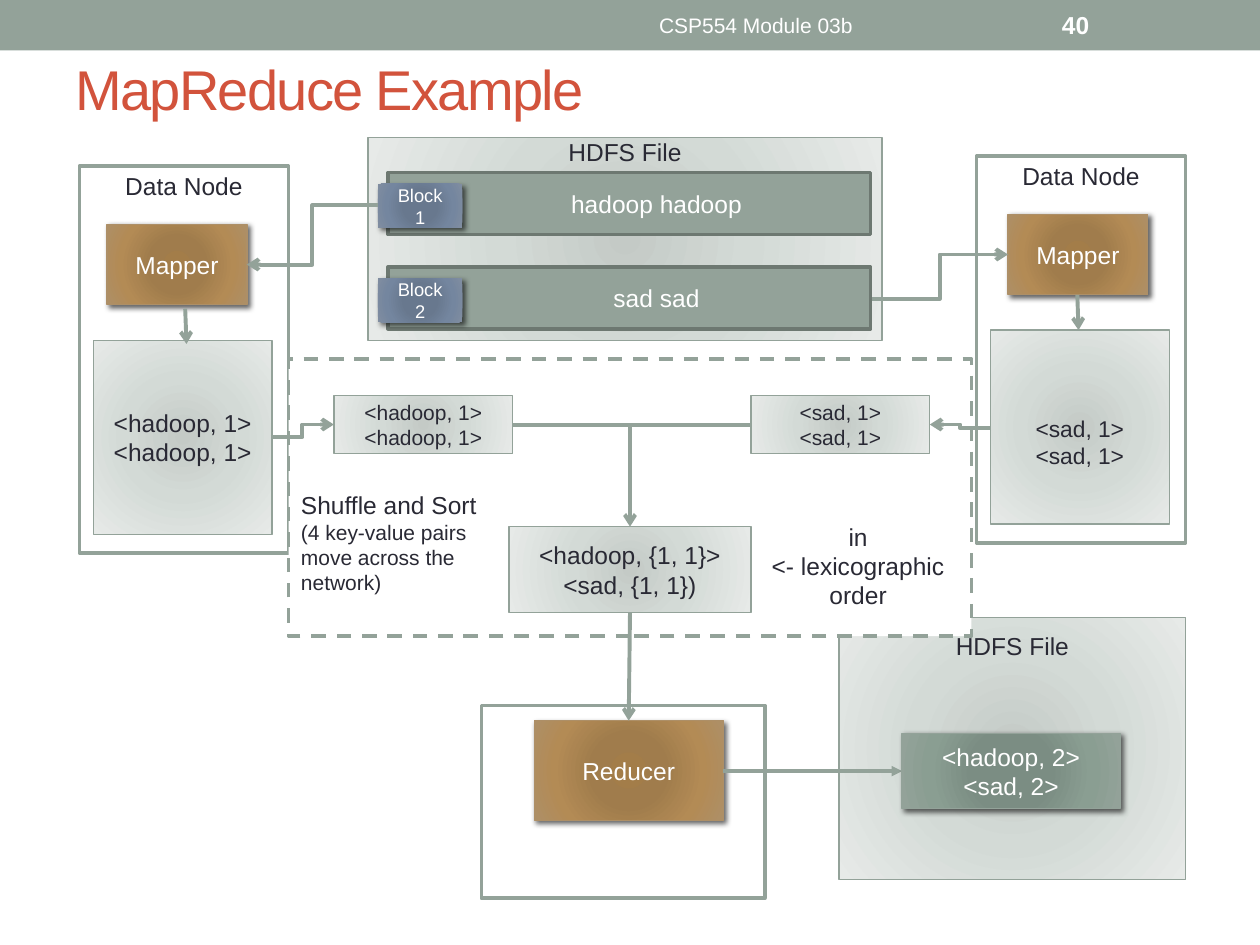
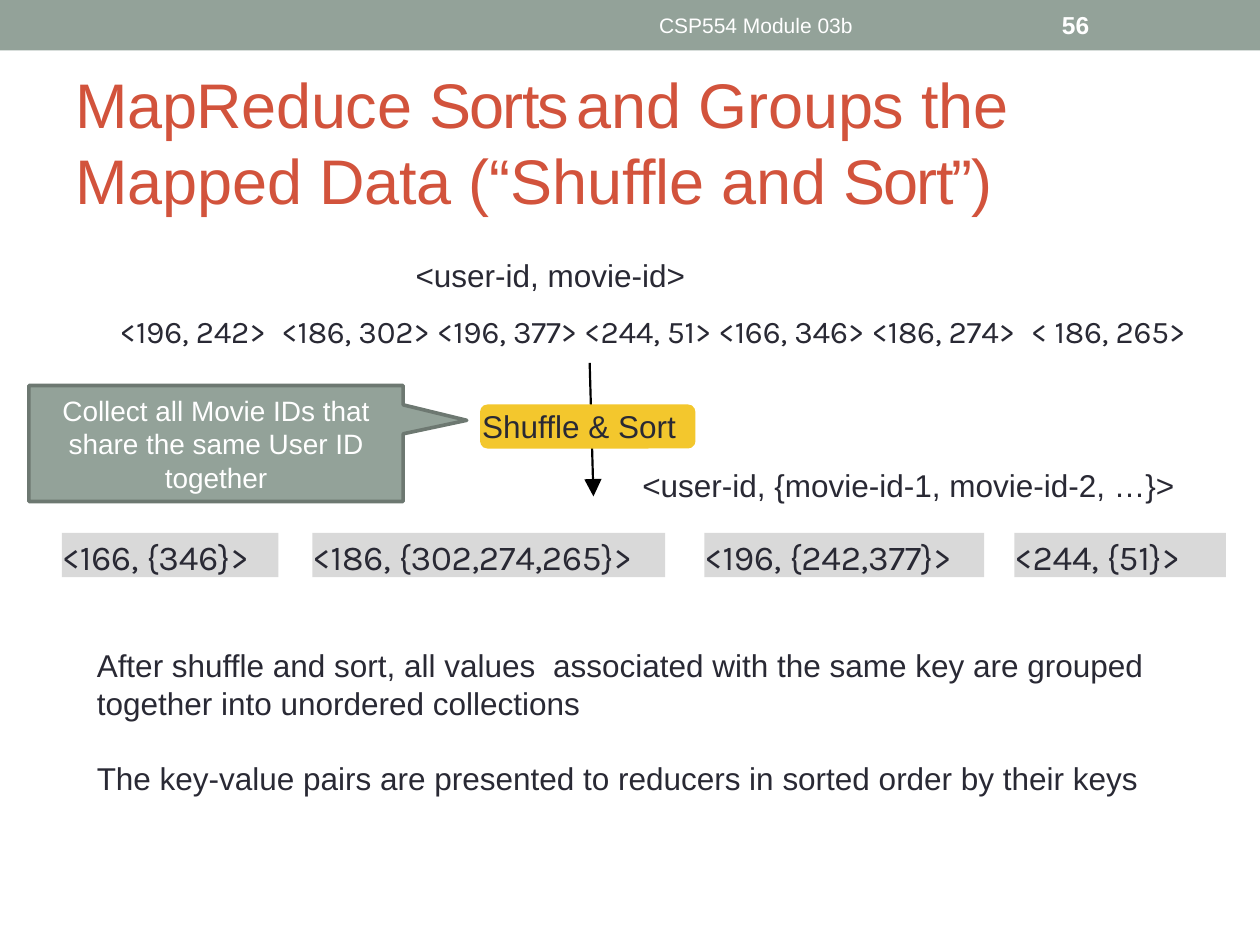
from lxml import etree
from pptx import Presentation
from pptx.dml.color import RGBColor
from pptx.enum.dml import MSO_LINE
from pptx.enum.shapes import MSO_CONNECTOR, MSO_SHAPE
from pptx.enum.text import MSO_ANCHOR, PP_ALIGN
from pptx.oxml.ns import qn
from pptx.util import Pt

PX = 9144
RECTANGLE = MSO_SHAPE.RECTANGLE
ROUNDED = MSO_SHAPE.ROUNDED_RECTANGLE
CALLOUT = MSO_SHAPE.RECTANGULAR_CALLOUT
STRAIGHT, ELBOW = MSO_CONNECTOR.STRAIGHT, MSO_CONNECTOR.ELBOW
DASH = MSO_LINE.DASH
TOP, MIDDLE = MSO_ANCHOR.TOP, MSO_ANCHOR.MIDDLE
LEFT, CENTER = PP_ALIGN.LEFT, PP_ALIGN.CENTER

WHITE = RGBColor(0xFF, 0xFF, 0xFF)
BLACK = RGBColor(0x00, 0x00, 0x00)
INK = RGBColor(0x29, 0x29, 0x34)
SAGE = RGBColor(0x93, 0xA2, 0x99)
DARK_SAGE = RGBColor(0x6D, 0x78, 0x71)
RED = RGBColor(0xD2, 0x53, 0x3C)
TAN = RGBColor(0xAD, 0x8F, 0x67)
GREY = RGBColor(0xD9, 0xD9, 0xD9)
YELLOW = RGBColor(0xF3, 0xC7, 0x2D)

MIST_STOPS = ((0, "C4CAC6"), (45, "D3DAD6"), (100, "E7EAE8"))
TAN_STOPS = ((0, "A37D49"), (34, "A07C4C"), (70, "B38B55"), (100, "AD8F67"))
BLUE_STOPS = ((0, "677790"), (34, "68788E"), (70, "74869F"), (100, "808DA0"))
GREEN_STOPS = ((0, "7B8E82"), (34, "7B8D83"), (70, "8A9E92"), (100, "93A299"))

FRAME = {"fill": WHITE, "line": SAGE, "weight": 2.08}
MIST = {"stops": MIST_STOPS, "line": SAGE}
WORKER = {"stops": TAN_STOPS, "line": TAN, "shadow": True, "color": WHITE}
BLOCK = {"stops": BLUE_STOPS, "shadow": True, "color": WHITE, "size": 10.5}
RESULT = {"stops": GREEN_STOPS, "line": SAGE, "shadow": True, "color": WHITE}
DARK = {"fill": SAGE, "line": DARK_SAGE, "weight": 2.08, "color": WHITE}
KARLA = {"font": "Karla", "margins": (0, 2, 0, 0), "anchor": TOP}


def add_child(parent, tag, **attributes):
    return etree.SubElement(parent, qn(tag), {key: str(value) for key, value in attributes.items()})


class Deck:
    def __init__(self, presentation):
        self.presentation = presentation
        self.slide = None

    def start(self, number, title, top, size):
        self.slide = self.presentation.slides.add_slide(self.presentation.slide_layouts[6])
        self.box((0, 0, 1000, 40), fill=SAGE)
        self.text((50, top, 900, 108), [title], size=size, color=RED, anchor=MIDDLE, tab=398)
        self.text((375, 2, 450, 36), ["CSP554 Module 03b"], size=12, color=WHITE,
                  align=CENTER, anchor=MIDDLE)
        self.text((833, 2, 117, 36), [number], size=14, color=WHITE, bold=True, anchor=MIDDLE)

    def place(self, area):
        return [value * PX for value in area]

    def box(self, area, paragraphs=(), kind=RECTANGLE, adjustments=(), fill=None, stops=None,
            line=None, weight=0.75, dash=None, shadow=False, **text_format):
        shape = self.slide.shapes.add_shape(kind, *self.place(area))
        for index, value in enumerate(adjustments):
            shape.adjustments[index] = value
        if stops:
            self.radial_fill(shape, stops)
        else:
            shape.fill.solid()
            shape.fill.fore_color.rgb = fill
        if line is None:
            shape.line.fill.background()
        else:
            shape.line.color.rgb = line
            shape.line.width = Pt(weight)
            if dash:
                shape.line.dash_style = dash
        shape.shadow.inherit = False
        if shadow:
            effects = shape._element.spPr.find(qn("a:effectLst"))
            outer = add_child(effects, "a:outerShdw", blurRad=Pt(3), dist=Pt(2),
                              dir=45 * 60000, rotWithShape=0)
            color = add_child(outer, "a:srgbClr", val="000000")
            add_child(color, "a:alpha", val=60000)
        self.fill_text(shape.text_frame, paragraphs,
                       **{"align": CENTER, "anchor": MIDDLE, **text_format})

    def radial_fill(self, shape, stops):
        shape.fill.gradient()
        gradient = shape._element.spPr.find(qn("a:gradFill"))
        for child in list(gradient):
            gradient.remove(child)
        stop_list = add_child(gradient, "a:gsLst")
        for position, color in stops:
            stop = add_child(stop_list, "a:gs", pos=position * 1000)
            add_child(stop, "a:srgbClr", val=color)
        circle = add_child(gradient, "a:path", path="circle")
        add_child(circle, "a:fillToRect", **dict.fromkeys("ltrb", 100000))

    def text(self, area, paragraphs, **text_format):
        self.fill_text(self.slide.shapes.add_textbox(*self.place(area)).text_frame,
                       paragraphs, **text_format)

    def fill_text(self, frame, paragraphs, size=14, color=INK, font="Arial", bold=False, align=LEFT,
                  anchor=TOP, margins=(10, 5, 10, 5), wrap=True, tab=None, gaps=()):
        left, top, right, bottom = self.place(margins)
        settings = {"word_wrap": wrap, "vertical_anchor": anchor, "margin_left": left,
                    "margin_top": top, "margin_right": right, "margin_bottom": bottom}
        for name, value in settings.items():
            setattr(frame, name, value)
        for index, content in enumerate(paragraphs):
            paragraph = frame.paragraphs[0] if index == 0 else frame.add_paragraph()
            paragraph.alignment = align
            if index in gaps:
                paragraph.space_before = Pt(21)
            if tab:
                tabs = add_child(paragraph._p.get_or_add_pPr(), "a:tabLst")
                add_child(tabs, "a:tab", pos=tab * PX, algn="l")
            runs = [(content, {})] if isinstance(content, str) else content
            for words, changes in runs:
                run = paragraph.add_run()
                run.text = words
                run.font.color.rgb = color
                values = {"name": font, "size": Pt(changes.get("size", size)), "bold": bold}
                for name, value in values.items():
                    setattr(run.font, name, value)
                if "spacing" in changes:
                    run._r.get_or_add_rPr().set("spc", str(round(changes["spacing"] * 100)))

    def connect(self, start, end, kind=STRAIGHT, color=SAGE, weight=2.25, head="arrow", head_size="med"):
        connector = self.slide.shapes.add_connector(kind, *self.place(start + end))
        connector.line.color.rgb = color
        connector.line.width = Pt(weight)
        properties = connector._element.spPr
        if head:
            add_child(properties.find(qn("a:ln")), "a:tailEnd", type=head, w=head_size, len=head_size)
        add_child(properties, "a:effectLst")


def spaced(*parts):
    return [(words, {"spacing": spacing}) for words, spacing in parts]


def build_example(deck):
    deck.start("40", spaced(("MapReduce Example", -1)), 16, 32)
    node_label = {"anchor": TOP, "margins": (10, 4, 10, 5)}
    hadoop_pairs = ["<hadoop, 1>"] * 2
    sad_pairs = ["<sad, 1>"] * 2

    deck.box((382, 560, 225, 153), **FRAME)
    deck.box((63, 132, 166, 307), ["Data Node"], **FRAME, **node_label)
    deck.box((292, 109, 408, 161), ["HDFS File"], **MIST, anchor=TOP, margins=(10, 0, 10, 0))
    for top, words in ((137, "hadoop hadoop"), (212, "sad sad")):
        deck.box((308, top, 383, 49), [words], **DARK, margins=(53, 5, 10, 5))
    deck.box((74, 270, 142, 154), hadoop_pairs, **MIST)
    deck.box((666, 490, 275, 208), ["HDFS File"], **MIST, anchor=TOP, margins=(10, 11, 10, 5))
    deck.box((424, 572, 150, 79), ["Reducer"], **WORKER)
    deck.box((85, 178, 111, 64), ["Mapper"], **WORKER)
    for top, number in ((146, "1"), (221, "2")):
        deck.box((300, top, 67, 35), ["Block", number], **BLOCK)

    deck.box((775, 124, 166, 307), ["Data Node"], **FRAME, **node_label)
    deck.box((786, 262, 142, 154), sad_pairs, **MIST, size=13, margins=(10, 28, 10, 5))
    deck.box((800, 170, 111, 64), ["Mapper"], **WORKER)
    deck.connect((692, 237), (800, 202), ELBOW)

    shuffle_notes = ["(4 key-value pairs", "move across the", "network)"]
    deck.box((229, 285, 542, 220),
             ["Shuffle and Sort"] + [[(note, {"size": 12})] for note in shuffle_notes],
             **FRAME, dash=DASH, align=LEFT, anchor=TOP, margins=(10, 104, 10, 5))
    deck.box((404, 418, 192, 68), ["<hadoop, {1, 1}>", "<sad, {1, 1})"], **MIST)
    deck.connect((574, 612), (716, 612), weight=2, head="triangle")
    deck.box((716, 582, 173, 60), ["<hadoop, 2>", "<sad, 2>"], **RESULT)
    deck.connect((500, 486), (499, 572))
    for left, pairs in ((265, hadoop_pairs), (596, sad_pairs)):
        deck.box((left, 314, 142, 46), pairs, **MIST, size=12)

    deck.connect((215, 347), (265, 337), ELBOW)
    deck.connect((786, 340), (738, 337), ELBOW)
    deck.connect((855, 234), (856, 262))
    deck.connect((147, 245), (148, 273))
    deck.connect((300, 163), (196, 210), ELBOW)
    deck.connect((407, 337), (596, 337), head=None)
    deck.connect((500, 337), (500, 418))
    deck.box((602, 415, 158, 68), ["in", "<- lexicographic", "order"], fill=WHITE)


def build_sorting(deck):
    title = spaced(("MapReduce ", -0.2), ("Sorts\t", -1),
                   ("and Groups the Mapped Data (“Shuffle and ", -0.1), ("Sort”)", -1))
    deck.start("56", title, 58, 36)

    groups = ((49, 172, "<166, {346}>"), (248, 280, "<186, {302,274,265}>"),
              (559, 222, "<196, {242,377}>"), (805, 168, "<244, {51}>"))
    for left, width, words in groups:
        deck.box((left, 423, width, 35), [spaced((words, -0.1))], fill=GREY, size=20,
                 align=LEFT, **KARLA)

    deck.connect((468, 288), (471, 394), color=BLACK, weight=1.25, head="triangle", head_size="lg")
    pairs = spaced(("<196, 242>", -0.1), (" ", 4.5),
                   ("<186, 302> <196, 377> <244, 51> <166, 346> <186, 274>", -0.1),
                   (" ", 4.5), ("<", 4.1), ("186, 265>", -0.1))
    deck.text((23, 246, 990, 32), [pairs], size=18, align=CENTER, **KARLA)
    deck.box((381, 321, 171, 35), ["Shuffle & Sort"], kind=ROUNDED, adjustments=(0.17,),
             fill=YELLOW, size=18, align=LEFT, anchor=TOP, margins=(0, 0, 0, 0))

    grouping = spaced(("After shuffle and sort, all values", 0), (" ", 5),
                      ("associated with the same key are grouped", 0))
    deck.text((67, 508, 894, 162),
              [grouping, "together into unordered collections",
               "The key-value pairs are presented to reducers in sorted order by their keys"],
              size=18, wrap=False, gaps=(2,))
    deck.text((320, 198, 236, 40), ["<user-id, movie-id>"], size=18, wrap=False)
    deck.text((500, 365, 447, 40), ["<user-id, {movie-id-1, movie-id-2, …}>"], size=18, wrap=False)
    deck.box((23, 306, 297, 92), ["Collect all Movie IDs that share the same User ID together"],
             kind=CALLOUT, adjustments=(0.67, -0.2), size=16, **DARK)


def main():
    presentation = Presentation()
    presentation.slide_width = 1000 * PX
    presentation.slide_height = 750 * PX
    deck = Deck(presentation)
    build_example(deck)
    build_sorting(deck)
    presentation.save("out.pptx")


if __name__ == "__main__":
    main()
